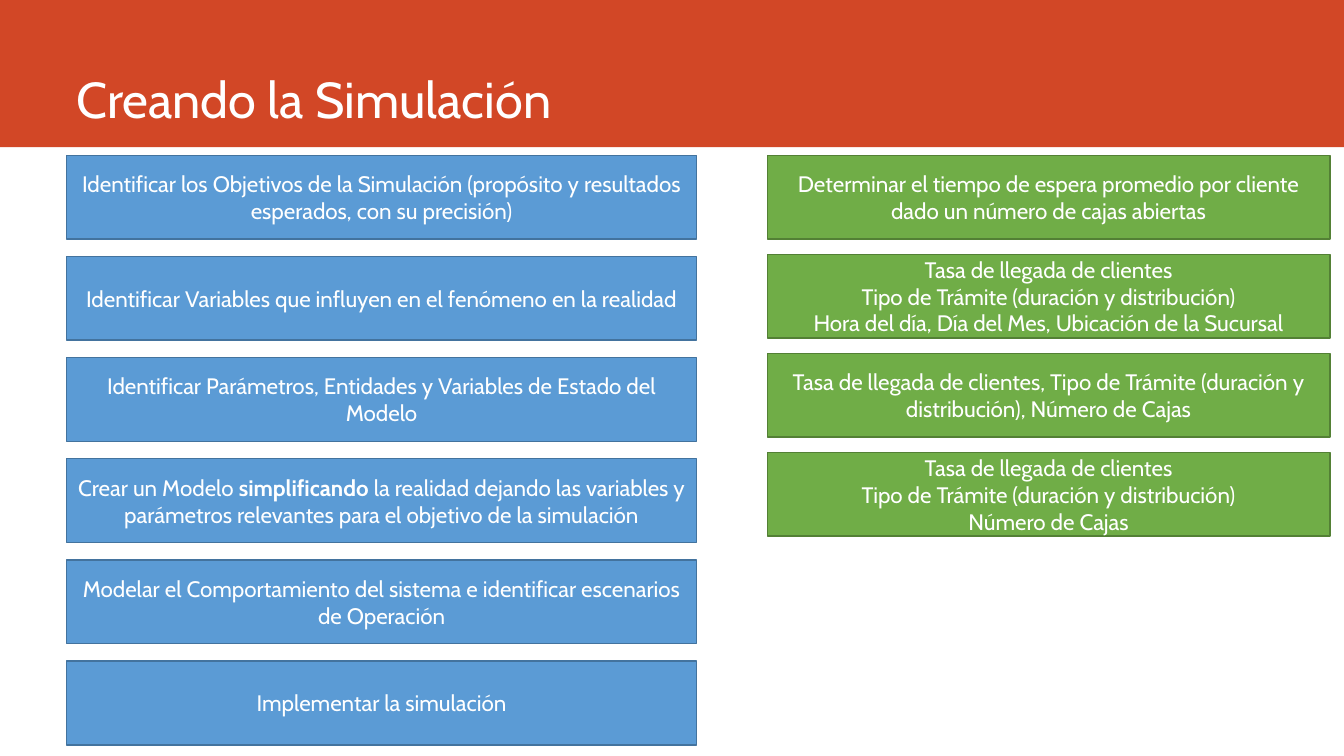
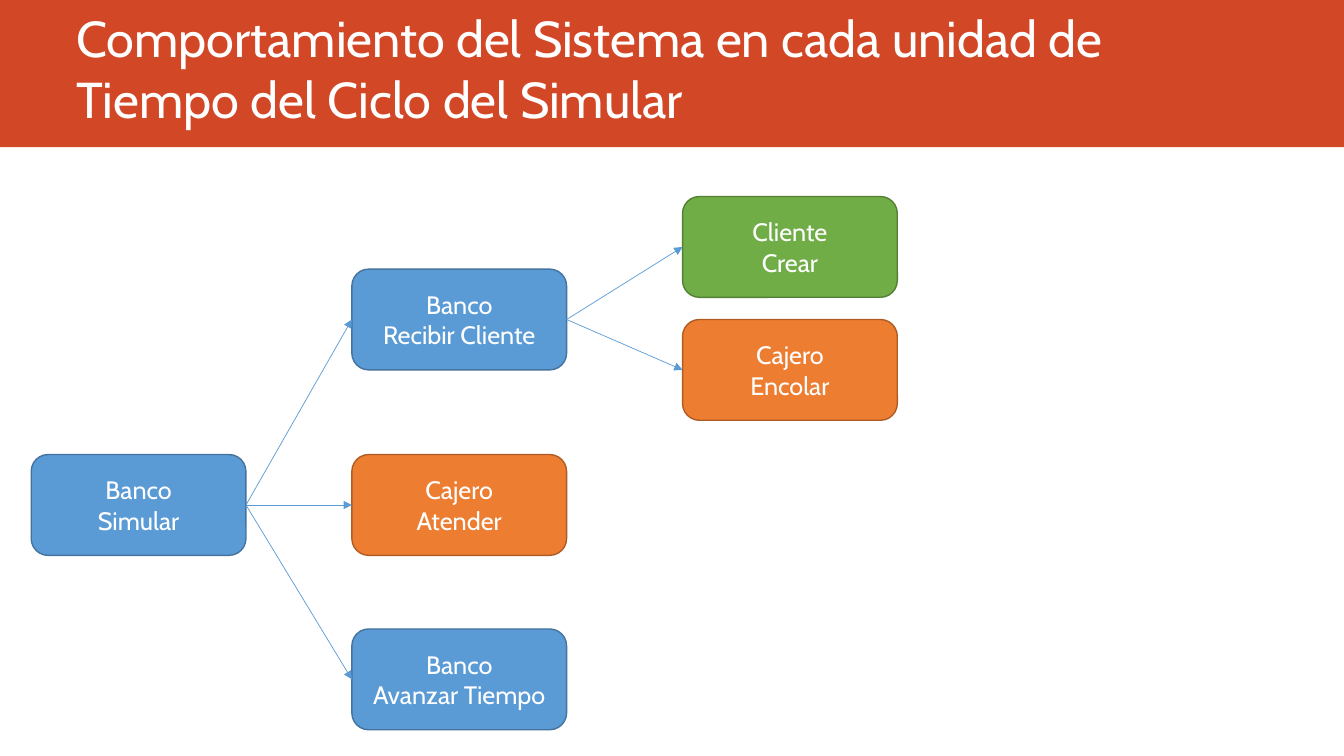
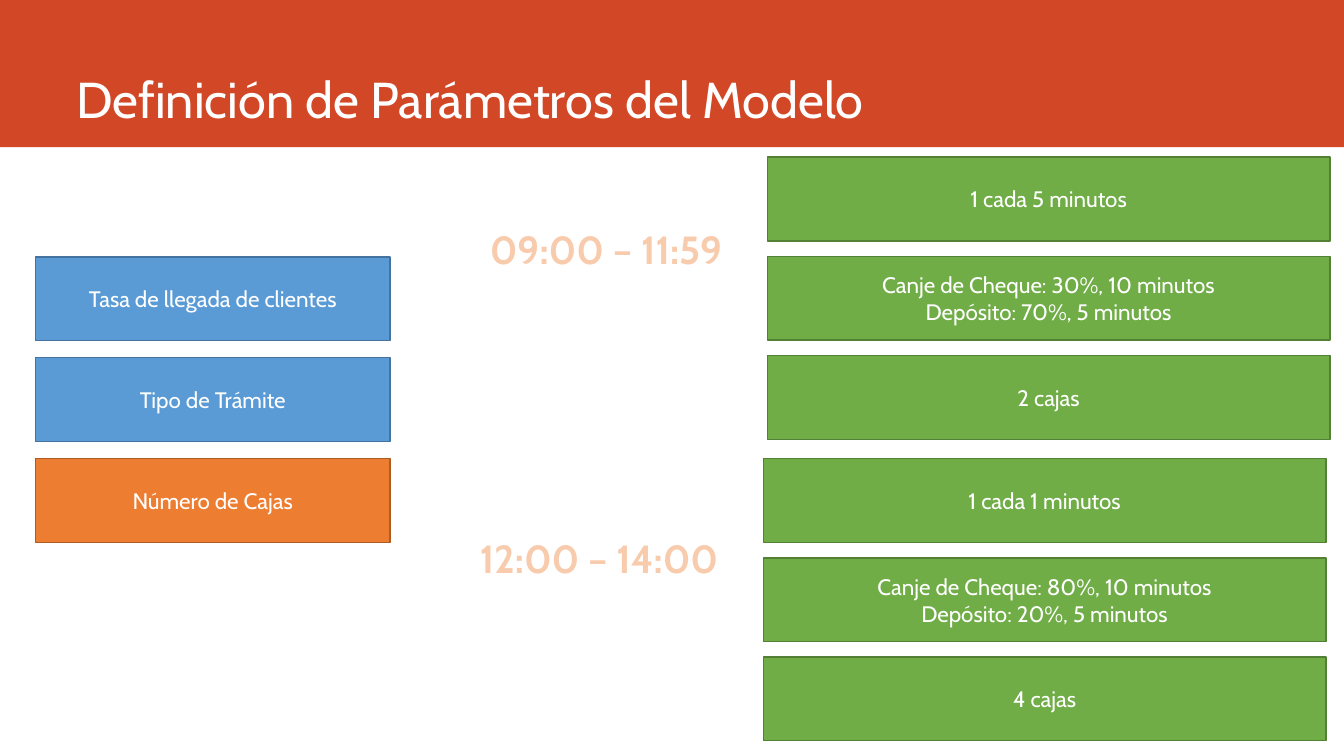
from lxml import etree
from pptx import Presentation
from pptx.dml.color import RGBColor
from pptx.enum.shapes import MSO_CONNECTOR, MSO_SHAPE
from pptx.enum.text import MSO_ANCHOR, MSO_AUTO_SIZE, PP_ALIGN
from pptx.oxml.ns import qn
from pptx.util import Inches, Pt

RECTANGLE, ROUNDED = MSO_SHAPE.RECTANGLE, MSO_SHAPE.ROUNDED_RECTANGLE
STRAIGHT = MSO_CONNECTOR.STRAIGHT
TOP, MIDDLE, BOTTOM = MSO_ANCHOR.TOP, MSO_ANCHOR.MIDDLE, MSO_ANCHOR.BOTTOM
LEFT, CENTER = PP_ALIGN.LEFT, PP_ALIGN.CENTER
FIT_SHAPE = MSO_AUTO_SIZE.SHAPE_TO_FIT_TEXT

FONT = "Cabin"
SLIDE_WIDTH, SLIDE_HEIGHT = 13.33, 7.5
BAND_HEIGHT = 1.46
BOX_HEIGHT = 0.83
VALUE_WIDTH = 5.58
NODE_WIDTH, NODE_HEIGHT = 2.13, 1
LEFT_SITE, RIGHT_SITE = 1, 3
COLORS = {
    "band": "D24726", "white": "FFFFFF", "schedule": "F8CBAD",
    "blue": "5B9BD5", "blue line": "43739E",
    "green": "70AD47", "green line": "538035",
    "orange": "ED7D31", "orange line": "AF5C24",
}

# Paragraphs are separated by line breaks; ** surrounds bold words.
STEPS = [
    "Identificar los Objetivos de la Simulación (propósito y resultados esperados, con su precisión)",
    "Identificar Variables que influyen en el fenómeno en la realidad",
    "Identificar Parámetros, Entidades y Variables de Estado del Modelo",
    "Crear un Modelo **simplificando **la realidad dejando las variables y "
    "parámetros relevantes para el objetivo de la simulación",
    "Modelar el Comportamiento del sistema e identificar escenarios de Operación",
    "Implementar la simulación",
]
EXAMPLES = [
    "Determinar el tiempo de espera promedio por cliente dado un número de cajas abiertas",
    "Tasa de llegada de clientes\nTipo de Trámite (duración y distribución)\n"
    "Hora del día, Día del Mes, Ubicación de la Sucursal",
    "Tasa de llegada de clientes, Tipo de Trámite (duración y distribución), Número de Cajas",
    "Tasa de llegada de clientes\nTipo de Trámite (duración y distribución)\nNúmero de Cajas",
]
NODE_COLUMNS = [0.31, 3.49, 6.77]
NODES = {  # name: (text, column, top, color)
    "simulate": ("Banco\nSimular", 0, 4.51, "blue"),
    "receive": ("Banco\nRecibir Cliente", 1, 2.67, "blue"),
    "attend": ("Cajero\nAtender", 1, 4.51, "orange"),
    "advance": ("Banco\nAvanzar Tiempo", 1, 6.24, "blue"),
    "create": ("Cliente\nCrear", 2, 1.95, "green"),
    "enqueue": ("Cajero\nEncolar", 2, 3.17, "orange"),
}
CALLS = {"simulate": ["receive", "attend", "advance"], "receive": ["create", "enqueue"]}
PARAMETERS = [
    ("Tasa de llegada de clientes", "blue"),
    ("Tipo de Trámite", "blue"),
    ("Número de Cajas", "orange"),
]
SCHEDULES = [  # hours, hours position, values left, first and last top, values
    ("09:00 – 11:59", (4.69, 2.19), 7.61, (1.56, 3.53),
     ["1 cada 5 minutos", "Canje de Cheque: 30%, 10 minutos\nDepósito: 70%, 5 minutos", "2 cajas"]),
    ("12:00 – 14:00", (4.62, 5.25), 7.57, (4.55, 6.52),
     ["1 cada 1 minutos", "Canje de Cheque: 80%, 10 minutos\nDepósito: 20%, 5 minutos", "4 cajas"]),
]


def rgb(name):
    return RGBColor.from_string(COLORS[name])


def write(shape, text, size, color="white", align=CENTER, anchor=MIDDLE, wrap=True):
    frame = shape.text_frame
    frame.word_wrap = wrap
    frame.vertical_anchor = anchor
    frame.text = text.replace("**", "")
    for paragraph, line in zip(frame.paragraphs, text.split("\n")):
        paragraph.alignment = align
        parts = line.split("**")
        paragraph.runs[0].text = parts[0]
        for part in parts[1:]:
            paragraph.add_run().text = part
        for index, run in enumerate(paragraph.runs):
            run.font.name = FONT
            run.font.size = Pt(size)
            run.font.bold = index % 2 == 1
            run.font.color.rgb = rgb(color)


def add_box(slide, kind, bounds, fill, line=None):
    shape = slide.shapes.add_shape(kind, *map(Inches, bounds))
    shape.shadow.inherit = False
    shape.fill.solid()
    shape.fill.fore_color.rgb = rgb(fill)
    if line:
        shape.line.color.rgb = rgb(line)
        shape.line.width = Pt(1)
    else:
        shape.line.fill.background()
    return shape


def add_titled_slide(presentation, title):
    slide = presentation.slides.add_slide(presentation.slide_layouts[6])
    add_box(slide, RECTANGLE, (0, 0, SLIDE_WIDTH, BAND_HEIGHT), "band")
    title_box = slide.shapes.add_textbox(*map(Inches, (0.66, 0, 11.76, 1.32)))
    write(title_box, title, 36, align=LEFT, anchor=BOTTOM)
    return slide


def add_stack(slide, items, left, width, tops):
    """Spread (text, color) boxes evenly between the first and last top."""
    first, last = tops
    pitch = (last - first) / (len(items) - 1)
    for row, (text, color) in enumerate(items):
        bounds = (left, first + row * pitch, width, BOX_HEIGHT)
        write(add_box(slide, RECTANGLE, bounds, color, color + " line"), text, 16)


def add_arrow(slide, source, target):
    arrow = slide.shapes.add_connector(STRAIGHT, 0, 0, 0, 0)
    arrow.begin_connect(source, RIGHT_SITE)
    arrow.end_connect(target, LEFT_SITE)
    arrow.line.color.rgb = rgb("blue")
    arrow.line.width = Pt(0.5)
    etree.SubElement(arrow.line._get_or_add_ln(), qn("a:tailEnd"), type="triangle")
    etree.SubElement(arrow._element.spPr, qn("a:effectLst"))


def add_hours(slide, hours, position):
    box = slide.shapes.add_textbox(*map(Inches, (*position, 2.64, 0.57)))
    write(box, hours, 28, "schedule", anchor=TOP, wrap=False)
    box.text_frame.auto_size = FIT_SHAPE
    font = box.text_frame.paragraphs[0].runs[0].font
    font.bold = True
    outline = etree.Element(qn("a:ln"), w=str(Pt(1.75)))
    fill = etree.SubElement(outline, qn("a:solidFill"))
    etree.SubElement(fill, qn("a:srgbClr"), val=COLORS["orange"])
    font._element.insert(0, outline)


def build_steps(presentation):
    slide = add_titled_slide(presentation, "Creando la Simulación")
    add_stack(slide, [(text, "blue") for text in STEPS], 0.66, 6.25, (1.54, 6.56))
    add_stack(slide, [(text, "green") for text in EXAMPLES], 7.61, VALUE_WIDTH, (1.54, 4.49))


def build_behavior(presentation):
    slide = add_titled_slide(
        presentation, "Comportamiento del Sistema en cada unidad de Tiempo del Ciclo del Simular")
    nodes = {}
    for name, (text, column, top, color) in NODES.items():
        bounds = (NODE_COLUMNS[column], top, NODE_WIDTH, NODE_HEIGHT)
        nodes[name] = add_box(slide, ROUNDED, bounds, color, color + " line")
        write(nodes[name], text, 18)
    for source, targets in CALLS.items():
        for target in targets:
            add_arrow(slide, nodes[source], nodes[target])


def build_parameters(presentation):
    slide = add_titled_slide(presentation, "Definición de Parámetros del Modelo")
    add_stack(slide, PARAMETERS, 0.35, 3.52, (2.55, 4.55))
    for hours, position, left, tops, values in SCHEDULES:
        add_hours(slide, hours, position)
        add_stack(slide, [(text, "green") for text in values], left, VALUE_WIDTH, tops)


def main():
    presentation = Presentation()
    presentation.slide_width = Inches(SLIDE_WIDTH)
    presentation.slide_height = Inches(SLIDE_HEIGHT)
    build_steps(presentation)
    build_behavior(presentation)
    build_parameters(presentation)
    presentation.save("out.pptx")


if __name__ == "__main__":
    main()
